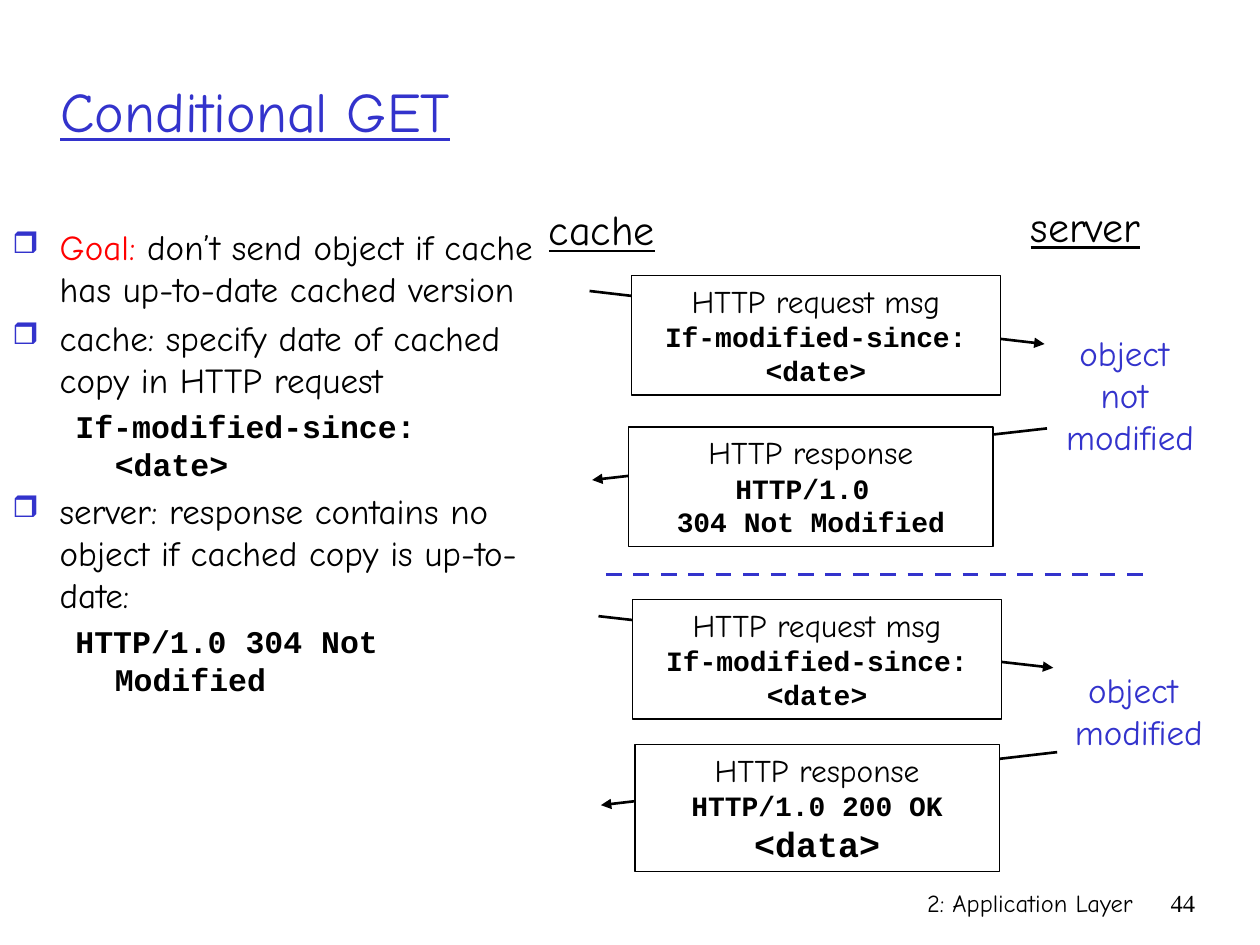
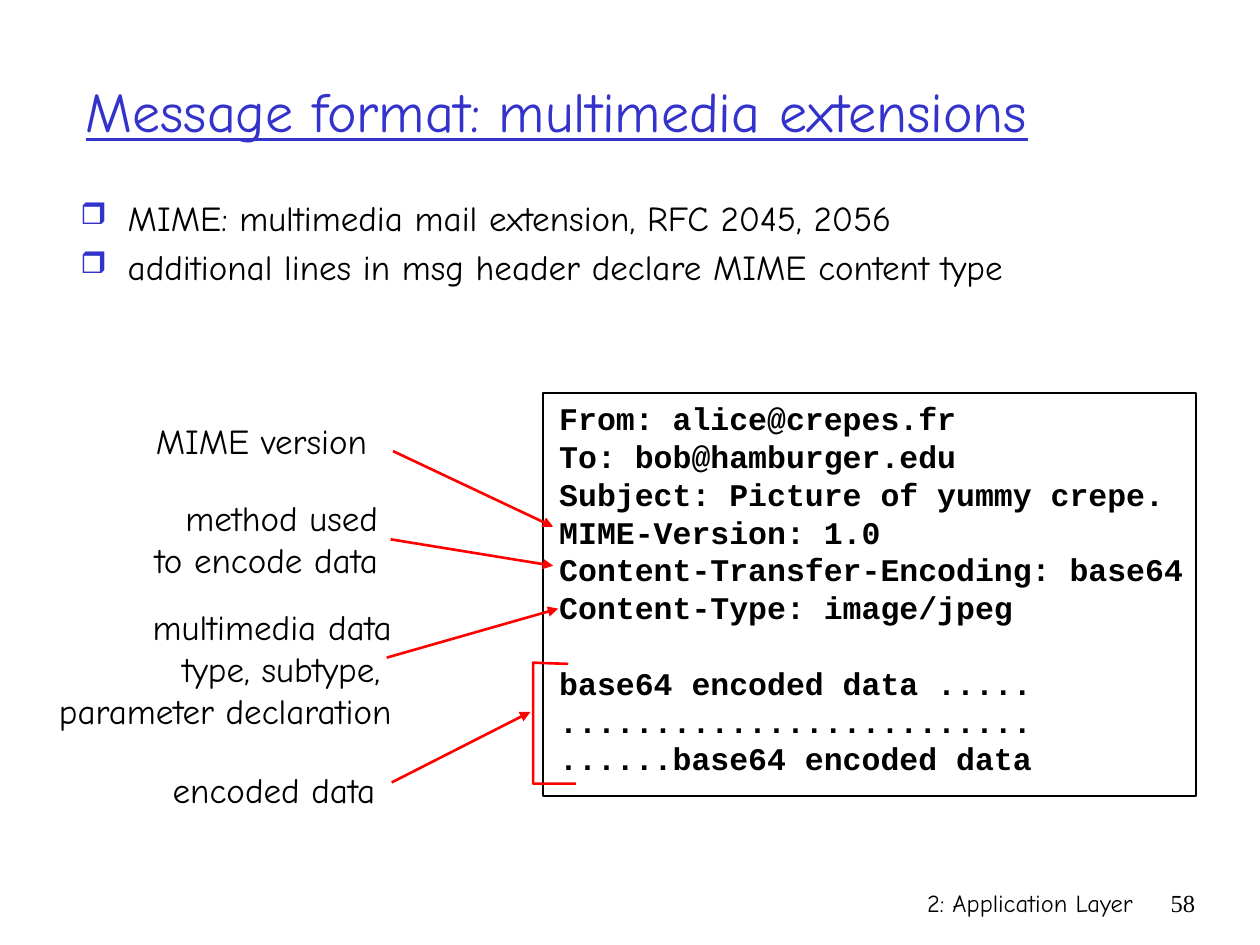
from lxml import etree
from pptx import Presentation
from pptx.dml.color import RGBColor
from pptx.enum.dml import MSO_LINE
from pptx.enum.shapes import MSO_CONNECTOR, MSO_SHAPE
from pptx.enum.text import MSO_ANCHOR, PP_ALIGN
from pptx.oxml.ns import qn
from pptx.util import Pt

LEFT, MID, RIGHT = PP_ALIGN.LEFT, PP_ALIGN.CENTER, PP_ALIGN.RIGHT
TOP, CENTRE = MSO_ANCHOR.TOP, MSO_ANCHOR.MIDDLE
RECT, LINE, DASH = MSO_SHAPE.RECTANGLE, MSO_CONNECTOR.STRAIGHT, MSO_LINE.DASH

HUES = {"ink": "000000", "blue": "3333CC", "red": "FF0000", "paper": "FFFFFF"}
HAND, CODE, SERIF = "Comic Neue", "Courier New", "Times New Roman"

STYLES = {
    "title": (HAND, 32, "blue", False, True),
    "head": (HAND, 24, "ink", False, True),
    "body": (HAND, 20, "ink", False, False),
    "goal": (HAND, 20, "red", False, False),
    "note": (HAND, 20, "blue", False, False),
    "msg": (HAND, 18, "ink", False, False),
    "code": (CODE, 18, "ink", True, False),
    "small": (CODE, 16, "ink", True, False),
    "big": (CODE, 20, "ink", True, False),
    "foot": (HAND, 14, "ink", False, False),
    "page": (SERIF, 14, "ink", False, False),
}


def hue(name):
    """Return the named colour."""
    return RGBColor.from_string(HUES[name])


def style(run, name):
    """Apply a named text style to a run."""
    face, size, tint, bold, under = STYLES[name]
    font = run.font
    font.name, font.size, font.bold, font.underline = face, Pt(size), bold, under
    font.color.rgb = hue(tint)


def fill(frame, rows, align=LEFT):
    """Write rows of (text, style) as paragraphs and return these."""
    frame.text = "\n".join(text for text, _ in rows)
    for para, (_, name) in zip(frame.paragraphs, rows):
        para.alignment = align
        for run in para.runs:
            style(run, name)
    return frame.paragraphs


def label(slide, box, rows, align=LEFT, wrap=True, anchor=TOP):
    """Add a text box and return its paragraphs."""
    frame = slide.shapes.add_textbox(*map(Pt, box)).text_frame
    frame.word_wrap = wrap
    frame.vertical_anchor = anchor
    return fill(frame, rows, align)


def wire(slide, box, start, end, tint="ink", width=1.5, arrow=True):
    """Draw a line whose ends are offsets from the corner of the box."""
    ends = [Pt(box[i] + spot[i]) for spot in (start, end) for i in (0, 1)]
    link = slide.shapes.add_connector(LINE, *ends)
    link.line.color.rgb = hue(tint)
    link.line.width = Pt(width)
    if arrow:
        tail = etree.SubElement(link.line._get_or_add_ln(), qn("a:tailEnd"))
        tail.set("type", "triangle")
    etree.SubElement(link._element.spPr, qn("a:effectLst"))
    return link


def block(slide, box, width, solid=True):
    """Add a black-edged rectangle."""
    shape = slide.shapes.add_shape(RECT, *map(Pt, box))
    shape.shadow.inherit = False
    if solid:
        shape.fill.solid()
        shape.fill.fore_color.rgb = hue("paper")
    else:
        shape.fill.background()
    shape.line.color.rgb = hue("ink")
    shape.line.width = Pt(width)
    return shape


def bullet(para):
    """Give a paragraph the hollow square bullet."""
    props = para._p.get_or_add_pPr()
    tint = etree.SubElement(props, qn("a:buClr"))
    etree.SubElement(tint, qn("a:srgbClr")).set("val", HUES["blue"])
    etree.SubElement(props, qn("a:buSzPct")).set("val", "85000")
    etree.SubElement(props, qn("a:buChar")).set("char", "❒")


def outline(slide, box, rows):
    """Write the body: bulleted prose with code lines beneath."""
    paras = label(slide, box, rows)
    for para, (_, name) in zip(paras, rows):
        para.space_before = Pt(STYLES[name][1] * 0.2)
        left, hang = (58.5, -22.5) if name == "code" else (27, -27)
        props = para._p.get_or_add_pPr()
        props.set("marL", str(Pt(left)))
        props.set("indent", str(Pt(hang)))
        if name != "code":
            bullet(para)
    return paras


def base(deck, box, title, page):
    """Start a slide with its title and footer."""
    slide = deck.slides.add_slide(deck.slide_layouts[6])
    label(slide, box, [(title, "title")], anchor=CENTRE)
    label(slide, (426, 504, 228.5, 36), [("2: Application Layer", "foot")], RIGHT)
    label(slide, (654, 504, 36, 36), [(page, "page")], RIGHT)
    return slide


def message(slide, box, rows, start, end):
    """Draw an arrow and the message box that lies over it."""
    wire(slide, box, start, end)
    frame = block(slide, box, 0.75).text_frame
    frame.word_wrap = True
    frame.vertical_anchor = TOP
    fill(frame, rows, MID)


def callout(slide, box, lines, align, start, end):
    """Add a label with a red arrow."""
    label(slide, box, [(line, "body") for line in lines], align, wrap=False)
    wire(slide, box, start, end, "red")


def mail(slide, box):
    """Draw the framed mail with a red bracket on its data."""
    x, y, w, h = box
    lines = [
        "From: alice@crepes.fr",
        "To: bob@hamburger.edu",
        "Subject: Picture of yummy crepe.",
        "MIME-Version: 1.0",
        "Content-Transfer-Encoding: base64",
        "Content-Type: image/jpeg",
        "base64 encoded data .....",
        "." * 25,
        "......base64 encoded data",
    ]
    paras = label(slide, (x + 2.2, y, w + 18.7, h), [(t, "code") for t in lines])
    paras[6].space_before = Pt(21.6)
    block(slide, box, 1, solid=False)
    spots = [(14.4, 154.8), (-5.7, 154.1), (-5.7, 223.2), (18.7, 223.2)]
    spots = [(Pt(x + dx), Pt(y + dy)) for dx, dy in spots]
    path = slide.shapes.build_freeform(*spots[0])
    path.add_line_segments(spots[1:], close=False)
    brace = path.convert_to_shape()
    brace.shadow.inherit = False
    brace.fill.background()
    brace.line.color.rgb = hue("red")
    brace.line.width = Pt(1.5)


def fetch(deck):
    """Build the conditional GET slide."""
    slide = base(deck, (27.4, 18, 627, 90), "Conditional GET", "44")
    paras = outline(slide, (0, 125.3, 318.2, 339), [
        ("Goal:", "goal"),
        ("cache: specify date of cached copy in HTTP request", "body"),
        ("If-modified-since: <date>", "code"),
        ("server: response contains no object if cached copy is up-to-date:", "body"),
        ("HTTP/1.0 304 Not Modified", "code"),
    ])
    run = paras[0].add_run()
    run.text = " don’t send object if cache has up-to-date cached version"
    style(run, "body")

    label(slide, (304.6, 113, 78.5, 36), [("cache", "head")], MID, wrap=False)
    label(slide, (576.7, 110.9, 87.1, 36), [("server", "head")], MID, wrap=False)

    ask = [("HTTP request msg", "msg"), ("If-modified-since: <date>", "small")]
    reply = ("HTTP response", "msg")
    same = [reply, ("HTTP/1.0 ", "small"), ("304 Not Modified", "small")]
    fresh = [reply, ("HTTP/1.0 200 OK", "small"), ("<data>", "big")]
    for box, rows, start, end in [
        ((360.7, 157.6, 211, 68.2), ask, (-23.8, 8.7), (236.2, 39)),
        ((359.3, 244.1, 208.1, 68.2), same, (239, 0.7), (-20.9, 30.2)),
        ((361.4, 342.7, 211, 68.2), ask, (-19.4, 9.4), (240.5, 38.9)),
        ((362.9, 425.5, 208.1, 72.7), fresh, (241.2, 4.3), (-19.5, 34.6)),
    ]:
        message(slide, box, rows, start, end)

    for box, words in [
        ((597.6, 185.8, 96.5, 79.2), ["object ", "not ", "modified"]),
        ((602.6, 378.7, 96.5, 55.4), ["object ", "modified"]),
    ]:
        label(slide, box, [(word, "note") for word in words], MID, wrap=False)
    split = wire(slide, (346.3, 328.3), (0, 0), (307.5, 0), "blue", 2.25, False)
    split.line.dash_style = DASH


def format_mail(deck):
    """Build the multimedia message slide."""
    title = "Message format: multimedia extensions"
    slide = base(deck, (41.8, 18, 660, 90), title, "58")
    outline(slide, (38.9, 108.7, 576.7, 365.8), [
        ("MIME: multimedia mail extension, RFC 2045, 2056", "body"),
        ("additional lines in msg header declare MIME content type", "body"),
    ])
    mail(slide, (310.3, 224.6, 373, 230.4))
    kind = ["multimedia data", "type, subtype, ", "parameter declaration"]
    for box, lines, align, start, end in [
        ((76.3, 236.2, 146.2, 31), ["MIME version"], MID, (148.3, 21.6), (239.8, 64.8)),
        ((70.6, 280.1, 152.6, 55.4), ["method used", "to encode data"], RIGHT,
         (152.6, 28.1), (245.5, 43.2)),
        ((8.6, 342.7, 222.5, 79.2), kind, RIGHT, (212.4, 33.1), (310.4, 5.1)),
        ((87.1, 435.6, 139, 31), ["encoded data"], MID, (136.8, 11.5), (216, -28.8)),
    ]:
        callout(slide, box, lines, align, start, end)


def main():
    """Build and save the deck."""
    deck = Presentation()
    deck.slide_width, deck.slide_height = Pt(720), Pt(540)
    fetch(deck)
    format_mail(deck)
    deck.save("out.pptx")


if __name__ == "__main__":
    main()
